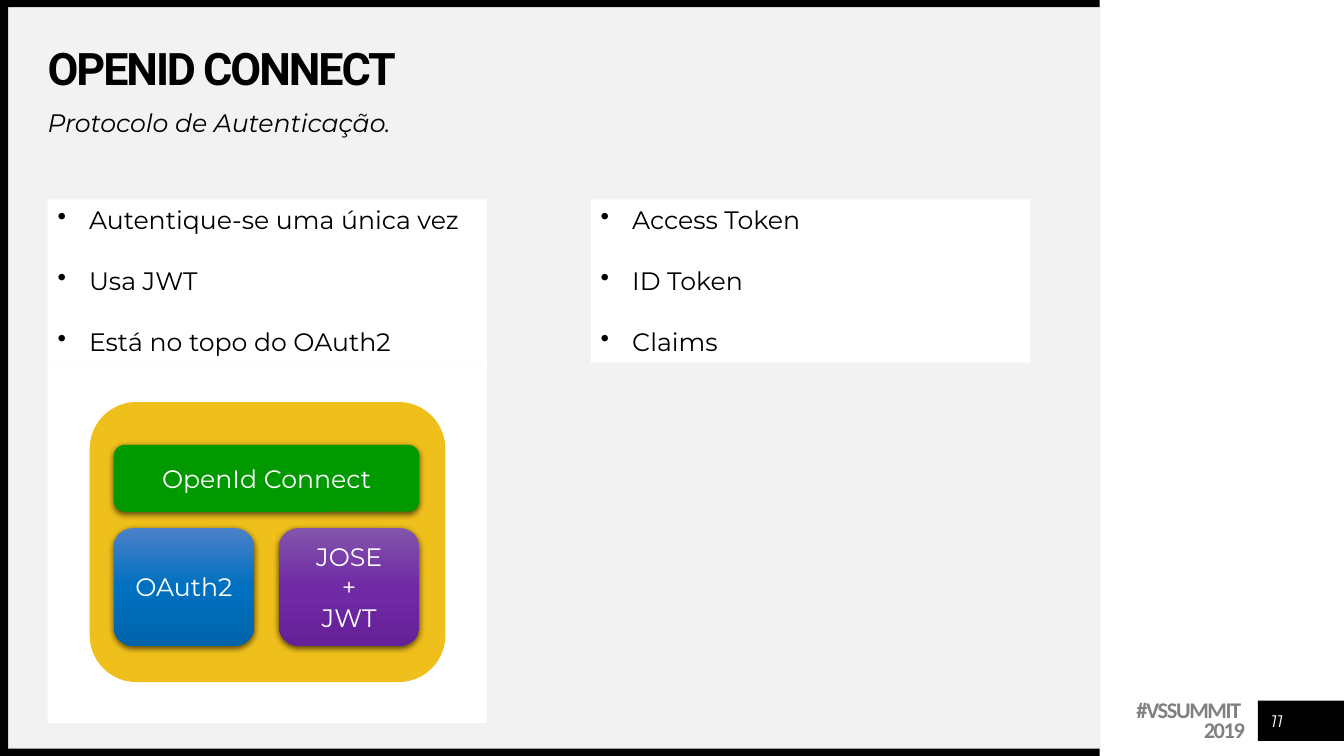
"""Build the OpenID Connect slide."""
import dataclasses
import typing

import lxml.etree
import pptx
import pptx.dml.color
import pptx.enum.shapes
import pptx.enum.text
import pptx.oxml.ns
import pptx.util

Pt = pptx.util.Pt
qn = pptx.oxml.ns.qn
Align = pptx.enum.text.PP_ALIGN
Anchor = pptx.enum.text.MSO_ANCHOR
Kind = pptx.enum.shapes.MSO_SHAPE
Rect = tuple[float, float, float, float]


@dataclasses.dataclass(frozen=True)
class Theme:
    """Colours, fonts and type sizes."""
    black: str = "000000"
    white: str = "FFFFFF"
    panel: str = "F2F2F2"
    grey: str = "808080"
    gold: str = "EFBF1B"
    green: str = "009900"
    blue: tuple[str, ...] = ("4B81C8", "0070C0", "0064AB")
    plum: tuple[str, ...] = ("8155AC", "712AA6", "652198")
    head: str = "Roboto"
    body: str = "Montserrat"
    tag: str = "Calibri"
    title: float = 32
    text: float = 18
    mark: float = 16
    page: float = 12


THEME = Theme()


@dataclasses.dataclass(frozen=True)
class Block:
    """A filled shape, with several colours for a gradient."""
    rect: Rect
    fill: str | tuple[str, ...]
    lines: tuple[str, ...] = ()
    round: bool = False
    shade: bool = False


@dataclasses.dataclass(frozen=True)
class Label:
    """A text box and its format."""
    rect: Rect
    lines: tuple[str, ...]
    form: dict[str, typing.Any]


def rgb(code: str) -> pptx.dml.color.RGBColor:
    """Turn a hex code into a colour."""
    return pptx.dml.color.RGBColor.from_string(code)


def write(shape: typing.Any, lines: tuple[str, ...], *, font: str = THEME.body,
          size: float = THEME.text, color: str = THEME.black, bold: bool = False,
          slant: bool = False, track: float = 0, align: Align = Align.LEFT,
          anchor: Anchor = Anchor.TOP, pitch: typing.Any = None, gap: float = 0,
          bullet: str = "", inset: Rect = (7.2, 3.6, 7.2, 3.6)) -> None:
    """Write lines into a shape, one paragraph each."""
    frame = shape.text_frame
    frame.word_wrap = True
    frame.vertical_anchor = anchor
    (frame.margin_left, frame.margin_top,
     frame.margin_right, frame.margin_bottom) = map(Pt, inset)
    for rank, line in enumerate(lines):
        para = frame.add_paragraph() if rank else frame.paragraphs[0]
        para.alignment = align
        if pitch:
            para.line_spacing = pitch
        if rank and gap:
            para.space_before = Pt(gap)
        if bullet:
            props = para._p.get_or_add_pPr()
            props.set("marL", str(Pt(22.5)))
            props.set("indent", str(-Pt(22.5)))
            lxml.etree.SubElement(props, qn("a:buChar")).set("char", bullet)
        run = para.add_run()
        run.text = line
        run.font.name, run.font.size = font, Pt(size)
        run.font.bold, run.font.italic = bold, slant
        run.font.color.rgb = rgb(color)
        if track:
            run._r.get_or_add_rPr().set("spc", str(int(track * 100)))


def blend(shape: typing.Any, tints: tuple[str, ...]) -> None:
    """Fill a shape from top to bottom with even colour stops."""
    shape.fill.gradient()
    shape.fill.gradient_angle = 270
    stops = shape._element.spPr.find(".//" + qn("a:gsLst"))
    for stop in list(stops):
        stops.remove(stop)
    for rank, tint in enumerate(tints):
        stop = lxml.etree.SubElement(stops, qn("a:gs"))
        stop.set("pos", str(100000 * rank // (len(tints) - 1)))
        lxml.etree.SubElement(stop, qn("a:srgbClr")).set("val", tint)


def cast(shape: typing.Any) -> None:
    """Give a shape a soft shadow below it."""
    effect = shape._element.spPr.find(qn("a:effectLst"))
    outer = lxml.etree.SubElement(effect, qn("a:outerShdw"))
    for key, value in (("blurRad", Pt(4.5)), ("dist", Pt(1.5)),
                       ("dir", 5400000), ("rotWithShape", 0)):
        outer.set(key, str(int(value)))
    tint = lxml.etree.SubElement(outer, qn("a:srgbClr"))
    tint.set("val", THEME.black)
    lxml.etree.SubElement(tint, qn("a:alpha")).set("val", "63000")


def draw(slide: typing.Any, block: Block, **form: typing.Any) -> None:
    """Draw a block and its text."""
    kind = Kind.ROUNDED_RECTANGLE if block.round else Kind.RECTANGLE
    shape = slide.shapes.add_shape(kind, *map(Pt, block.rect))
    shape.line.fill.background()
    if isinstance(block.fill, tuple):
        blend(shape, block.fill)
    else:
        shape.fill.solid()
        shape.fill.fore_color.rgb = rgb(block.fill)
    shape.shadow.inherit = False
    if block.shade:
        cast(shape)
    if block.lines:
        write(shape, block.lines, **form)


def place(slide: typing.Any, label: Label) -> None:
    """Place a text box without side insets."""
    box = slide.shapes.add_textbox(*map(Pt, label.rect))
    write(box, label.lines, **{"inset": (0, 0, 0, 0), **label.form})


FRAME = (
    Block((5.8, 5.2, 780.2, 530), THEME.panel),
    Block((898.4, 500.4, 61.6, 28.8), THEME.black),
    Block((0, 534.8, 785.6, 5.2), THEME.black),
    Block((0, 0, 785.6, 5.2), THEME.black),
    Block((0, 0, 5.8, 540), THEME.black),
)
LABELS = (
    Label((758.2, 499.7, 131, 31.7), ("#VSSUMMIT ", "2019"),
          dict(font=THEME.tag, size=THEME.mark, color=THEME.grey, bold=True, track=-1,
               align=Align.RIGHT, pitch=Pt(14), inset=(0, 2.9, 0, 0))),
    Label((34, 33.8, 724.3, 33.8), ("OPENID CONNECT",),
          dict(font=THEME.head, size=THEME.title, bold=True, track=-1.5,
               anchor=Anchor.MIDDLE, pitch=0.9)),
    Label((34, 79.2, 724.3, 28), ("Protocolo de Autenticação.",),
          dict(slant=True, pitch=0.9)),
    Label((901.4, 504, 21.6, 21.6), ("11",),
          dict(size=THEME.page, color=THEME.white, slant=True,
               align=Align.CENTER, anchor=Anchor.MIDDLE)),
)
LISTS = (
    Block((34, 142.5, 314, 116.6), THEME.white,
          ("Autentique-se uma única vez", "Usa JWT", "Está no topo do OAuth2")),
    Block((422, 142.5, 314, 116.6), THEME.white, ("Access Token", "ID Token", "Claims")),
)
STACK = (
    Block((34, 259.1, 314, 257.5), THEME.white),
    Block((64.1, 287.2, 254, 200), THEME.gold, round=True),
    Block((81.2, 317.8, 218.4, 47.8), THEME.green, ("OpenId Connect",), True, True),
    Block((81.2, 377.2, 100.3, 84), THEME.blue, ("OAuth2",), True, True),
    Block((199.3, 377.2, 100.3, 84), THEME.plum, ("JOSE", "+", "JWT"), True, True),
)


def main() -> None:
    """Build and save the slide."""
    deck = pptx.Presentation()
    deck.slide_width, deck.slide_height = Pt(960), Pt(540)
    slide = deck.slides.add_slide(deck.slide_layouts[6])
    for block in FRAME:
        draw(slide, block)
    for label in LABELS:
        place(slide, label)
    for block in LISTS:
        draw(slide, block, bullet="•", gap=21.9)
    for block in STACK:
        draw(slide, block, color=THEME.white, align=Align.CENTER, anchor=Anchor.MIDDLE)
    deck.save("out.pptx")


if __name__ == "__main__":
    main()
